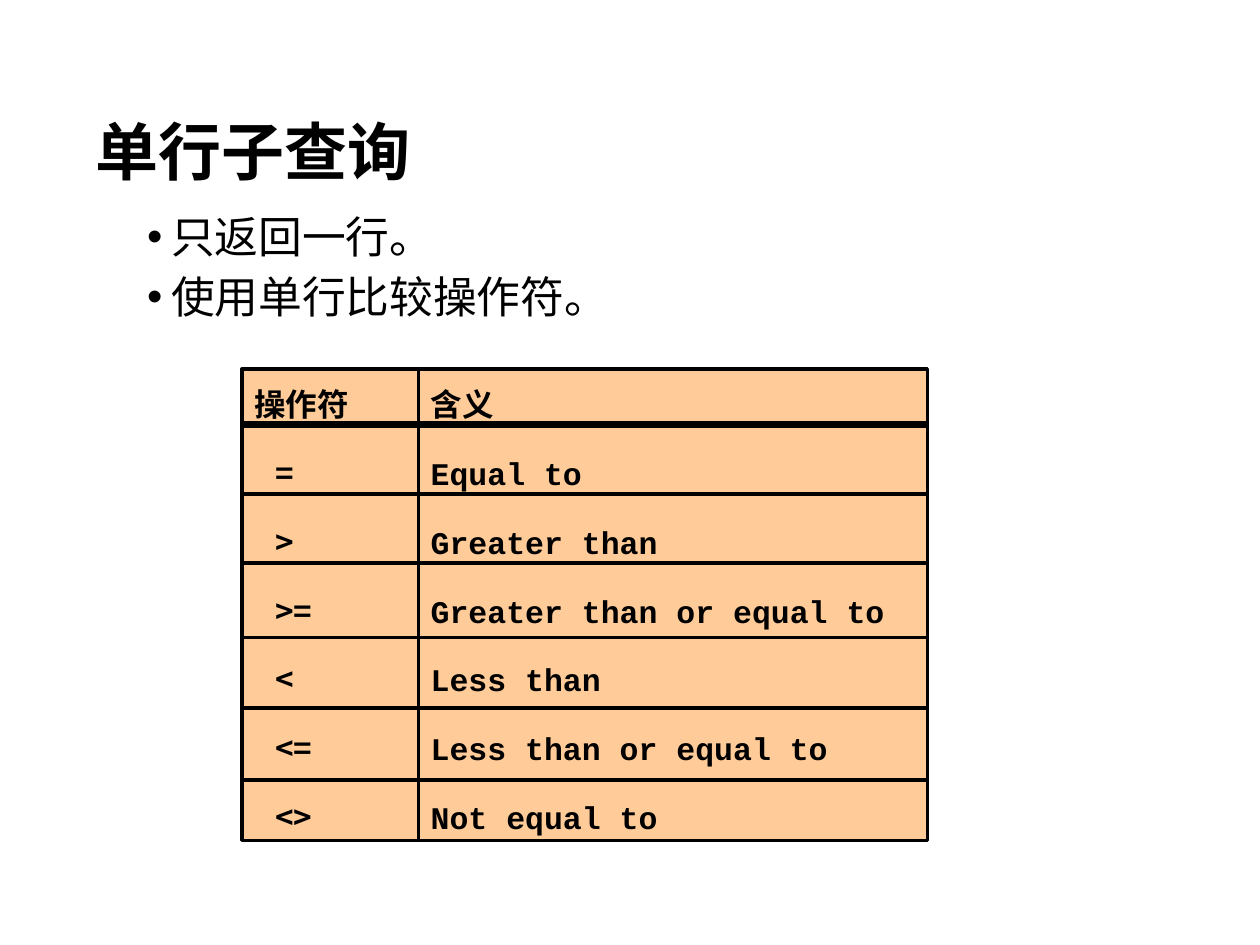
from lxml.etree import SubElement as Sub
from pptx import Presentation
from pptx.dml.color import RGBColor as Rgb
from pptx.enum.shapes import MSO_CONNECTOR as Link, MSO_SHAPE as Shape
from pptx.enum.text import MSO_ANCHOR as Anchor, PP_ALIGN as Align
from pptx.oxml.ns import qn
from pptx.util import Inches, Pt

WIDE, HIGH = 10, 7.5
COLS, ROWS = 100, 75  # layout grid


def color(text):
    return Rgb.from_string(text)


class Deck:
    ink, sand = "000000", "FFCC99"
    sans, mono = "Noto Sans CJK SC", "Courier New"

    def __init__(self):
        self.file = Presentation()
        self.file.slide_width = Inches(WIDE)
        self.file.slide_height = Inches(HIGH)
        self.page = self.file.slides.add_slide(self.file.slide_layouts[6])

    def x(self, cols):
        return Inches(cols * WIDE / COLS)

    def y(self, rows):
        return Inches(rows * HIGH / ROWS)

    def area(self, left, top, wide, high):
        return self.x(left), self.y(top), self.x(wide), self.y(high)

    def run(self, para, text, size, face, bold=False):
        run = para.add_run()
        run.text = text
        font = run.font
        font.size, font.name, font.bold = Pt(size), face, bold
        font.color.rgb = color(self.ink)
        Sub(run._r.get_or_add_rPr(), qn("a:ea"), typeface=face)

    def paras(self, frame, lines, pitch, gap):
        for i, line in enumerate(lines):
            para = frame.add_paragraph() if i else frame.paragraphs[0]
            para.alignment = Align.LEFT
            para.line_spacing, para.space_before = pitch, Pt(gap)
            yield para, line

    def text(self, area, lines, size, bold=False, gap=0, dot=False):
        frame = self.page.shapes.add_textbox(*self.area(*area)).text_frame
        frame.word_wrap = True
        for para, line in self.paras(frame, lines, 0.9, gap):
            if dot:
                self.dot(para)
            self.run(para, line, size, self.sans, bold)

    def dot(self, para):
        props = para._p.get_or_add_pPr()
        step = Inches(0.19)
        props.set("marL", str(step))
        props.set("indent", str(-step))
        Sub(props, qn("a:buFont"), typeface="Arial")
        Sub(props, qn("a:buChar"), char="•")

    def panel(self, area, head, lines, face, inset=0):
        box = self.page.shapes.add_shape(Shape.RECTANGLE, *self.area(*area))
        box.shadow.inherit = False
        box.fill.solid()
        box.fill.fore_color.rgb = color(self.sand)
        box.line.color.rgb, box.line.width = color(self.ink), Pt(2)
        frame = box.text_frame
        frame.word_wrap, frame.vertical_anchor = True, Anchor.TOP
        frame.margin_top = self.y(0.7)
        for para, line in self.paras(frame, [head, *lines], Pt(25.8), 13.5):
            if line != head:
                para._p.get_or_add_pPr().set("marL", str(self.x(inset)))
            self.run(para, line, 18, self.sans if line == head else face, True)

    def rule(self, left, right, row, width):
        line = self.page.shapes.add_connector(
            Link.STRAIGHT, self.x(left), self.y(row), self.x(right), self.y(row))
        line.line.color.rgb, line.line.width = color(self.ink), Pt(width)
        Sub(line._element.spPr, qn("a:effectLst"))


def main():
    deck = Deck()

    # Heading and key points
    deck.text((6.6, 9.1, 84.2, 15.7), ["单行子查询"], 36, bold=True)
    deck.text((10.7, 16.6, 84.2, 10.3), ["只返回一行。", "使用单行比较操作符。"],
              25, gap=7.5, dot=True)

    # Operators beside their meanings
    top, high = 29.3, 37.4
    left, split, right = 19.2, 33.2, 73.6
    deck.panel((left, top, split - left + 0.1, high), "操作符",
               ["=", ">", ">=", "<", "<=", "<>"], deck.sans, inset=1.65)
    deck.panel((split, top, right - split, high), "含义",
               ["Equal to", "Greater than", "Greater than or equal to",
                "Less than", "Less than or equal to", "Not equal to"], deck.mono)

    # Heavy rule under the heads, thin rules between the operators
    deck.rule(left, right, 33.7, 4)
    for row in (39.2, 44.7, 50.6, 56.2, 61.9):
        deck.rule(left, right, row, 2)

    deck.file.save("out.pptx")


if __name__ == "__main__":
    main()
